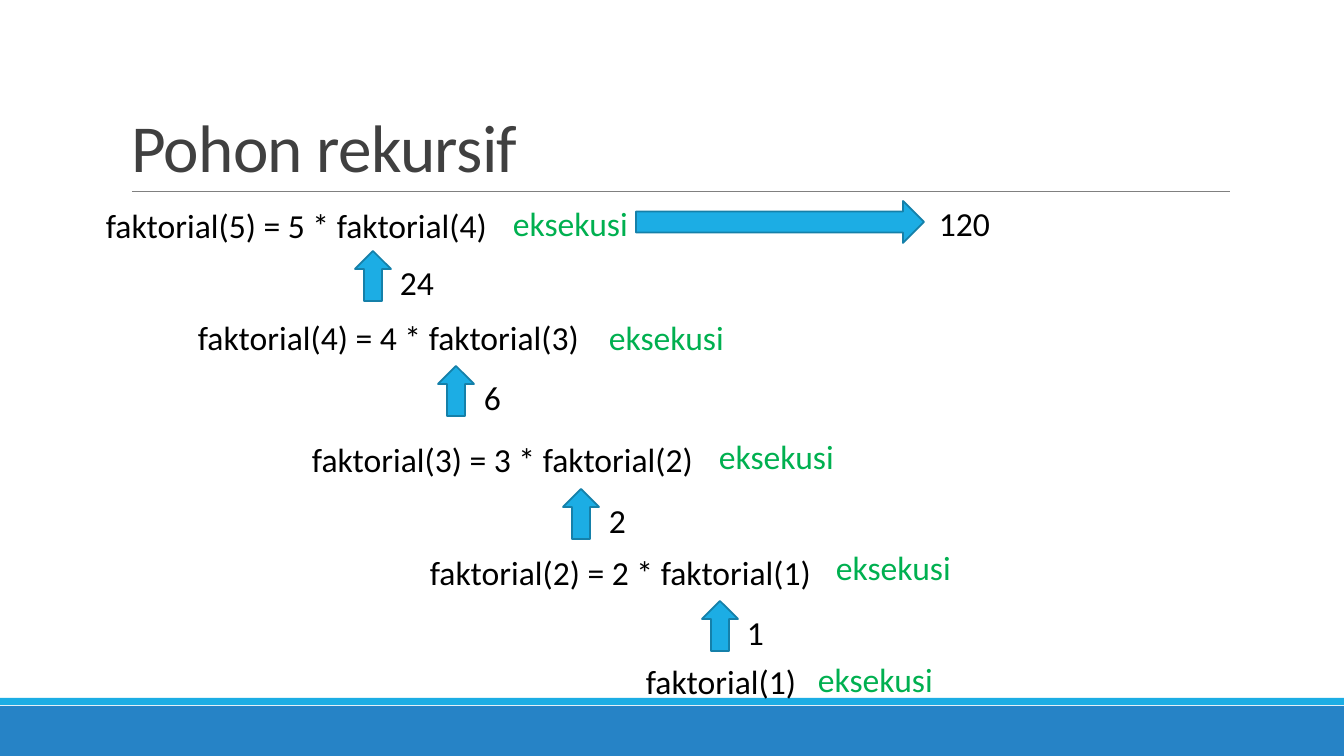
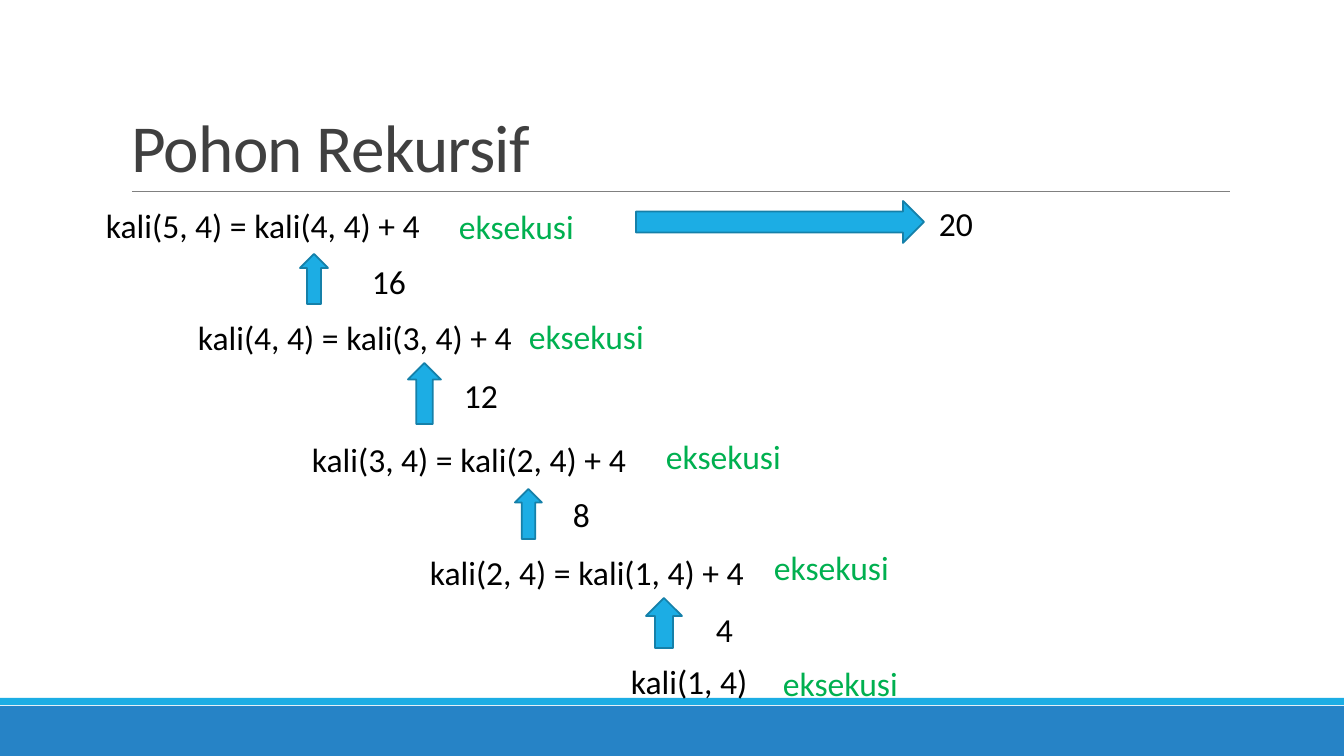
import pptx
import pptx.dml.color
import pptx.enum.shapes
import pptx.enum.text
import pptx.oxml.ns
import pptx.util
from lxml import etree

RGBColor = pptx.dml.color.RGBColor
Shape = pptx.enum.shapes.MSO_SHAPE

SCALE = 914400 / 100.8
PAGE_WIDTH, PAGE_HEIGHT = 1344, 756
FONT = "Calibri"
BLUE = RGBColor(0x26, 0x83, 0xC6)
CYAN = RGBColor(0x1C, 0xAD, 0xE4)
ARROW_EDGE = RGBColor(0x15, 0x80, 0xA9)
GRAY = RGBColor(0x80, 0x80, 0x80)
TITLE_COLOR = RGBColor(0x40, 0x40, 0x40)
BLACK = RGBColor(0, 0, 0)
GREEN = RGBColor(0x00, 0xB0, 0x50)

CALL_TOPS = (200, 312, 434, 547, 656)
CALL_LEFTS = (96, 188, 302, 420)
CALL_WIDTH, LABEL_WIDTH, LABEL_HEIGHT = 503, 193, 50

FACTORIAL = {
    "title": "Pohon rekursif",
    "calls": [f"faktorial({n}) = {n} * faktorial({n - 1})" for n in range(5, 1, -1)]
    + ["faktorial(1)"],
    "base_left": 636,
    "marks": [(503, 198), (599, 312), (709, 431), (826, 542), (808, 654)],
    "arrows": [(355, 251, 36, 50), (438, 366, 36, 50), (563, 489, 36, 50), (702, 601, 36, 50)],
    "returns": [("24", 390, 257), ("6", 474, 372), ("2", 599, 495), ("1", 737, 607)],
    "answer": "120",
}
MULTIPLY = {
    "title": "Pohon Rekursif",
    "calls": [f"kali({n}, 4) = kali({n - 1}, 4) + 4" for n in range(5, 1, -1)]
    + ["kali(1, 4)"],
    "base_left": 621,
    "marks": [(449, 201), (519, 311), (656, 431), (764, 542), (773, 658)],
    "arrows": [(300, 254, 28, 50), (408, 363, 33, 61), (515, 489, 27, 50), (646, 598, 36, 50)],
    "returns": [("16", 362, 256), ("12", 454, 370), ("8", 563, 489), ("4", 706, 604)],
    "answer": "20",
}


def emu(*pixels):
    return [pptx.util.Emu(round(value * SCALE)) for value in pixels]


def format_text(frame, size, color):
    for para in frame.paragraphs:
        for span in para.runs:
            span.font.name = FONT
            span.font.size = pptx.util.Pt(size)
            span.font.color.rgb = color


def add_block(page, kind, left, top, width, height, fill, edge=None):
    shape = page.shapes.add_shape(kind, *emu(left, top, width, height))
    shape.shadow.inherit = False
    shape.fill.solid()
    shape.fill.fore_color.rgb = fill
    if edge is None:
        shape.line.fill.background()
    else:
        shape.line.color.rgb = edge
        shape.line.width = pptx.util.Pt(1.25)
    return shape


def add_arrow(page, kind, left, top, width, height):
    add_block(page, kind, left, top, width, height, CYAN, ARROW_EDGE)


def add_rule(page, left, top, right):
    rule = page.shapes.add_connector(
        pptx.enum.shapes.MSO_CONNECTOR.STRAIGHT, *emu(left, top, right, top))
    rule.line.color.rgb = GRAY
    rule.line.width = pptx.util.Pt(0.5)
    etree.SubElement(rule.element.spPr, pptx.oxml.ns.qn("a:effectLst"))
    return rule


def add_label(page, text, left, top, width=LABEL_WIDTH, color=BLACK):
    box = page.shapes.add_textbox(*emu(left, top, width, LABEL_HEIGHT))
    frame = box.text_frame
    frame.word_wrap = True
    frame.auto_size = pptx.enum.text.MSO_AUTO_SIZE.SHAPE_TO_FIT_TEXT
    frame.text = text
    format_text(frame, 24, color)


def style_layout(layout, page):
    for holder in list(layout.placeholders):
        if holder.placeholder_format.idx != 0:
            holder.element.getparent().remove(holder.element)
    decorations = [
        add_block(page, Shape.RECTANGLE, 0, 706, PAGE_WIDTH, 50, BLUE),
        add_block(page, Shape.RECTANGLE, 0, 698, PAGE_WIDTH, 7, CYAN),
        add_rule(page, 132, 191, 1230),
    ]
    for decoration in decorations:
        layout.element.cSld.spTree.append(decoration.element)


def set_title(page, text):
    title = page.shapes.title
    title.left, title.top, title.width, title.height = emu(121, 31, 1109, 160)
    frame = title.text_frame
    frame.text = text
    frame.word_wrap = True
    frame.auto_size = pptx.enum.text.MSO_AUTO_SIZE.NONE
    frame.vertical_anchor = pptx.enum.text.MSO_ANCHOR.BOTTOM
    para = frame.paragraphs[0]
    para.alignment = pptx.enum.text.PP_ALIGN.LEFT
    para.line_spacing = 0.85
    format_text(frame, 48, TITLE_COLOR)
    para.runs[0].font._element.set("spc", "-50")


def fill_page(page, tree):
    set_title(page, tree["title"])
    lefts = (*CALL_LEFTS, tree["base_left"])
    for call, left, top in zip(tree["calls"], lefts, CALL_TOPS):
        add_label(page, call, left, top, CALL_WIDTH)
    for left, top in tree["marks"]:
        add_label(page, "eksekusi", left, top, color=GREEN)
    for arrow in tree["arrows"]:
        add_arrow(page, Shape.UP_ARROW, *arrow)
    for value, left, top in tree["returns"]:
        add_label(page, value, left, top)
    add_arrow(page, Shape.RIGHT_ARROW, 636, 201, 288, 42)
    add_label(page, tree["answer"], 929, 198)


def main():
    deck = pptx.Presentation()
    deck.slide_width, deck.slide_height = emu(PAGE_WIDTH, PAGE_HEIGHT)
    layout = deck.slide_layouts[5]
    pages = [deck.slides.add_slide(layout) for _ in range(2)]
    style_layout(layout, pages[0])
    for page, tree in zip(pages, (FACTORIAL, MULTIPLY)):
        fill_page(page, tree)
    deck.save("out.pptx")


main()
